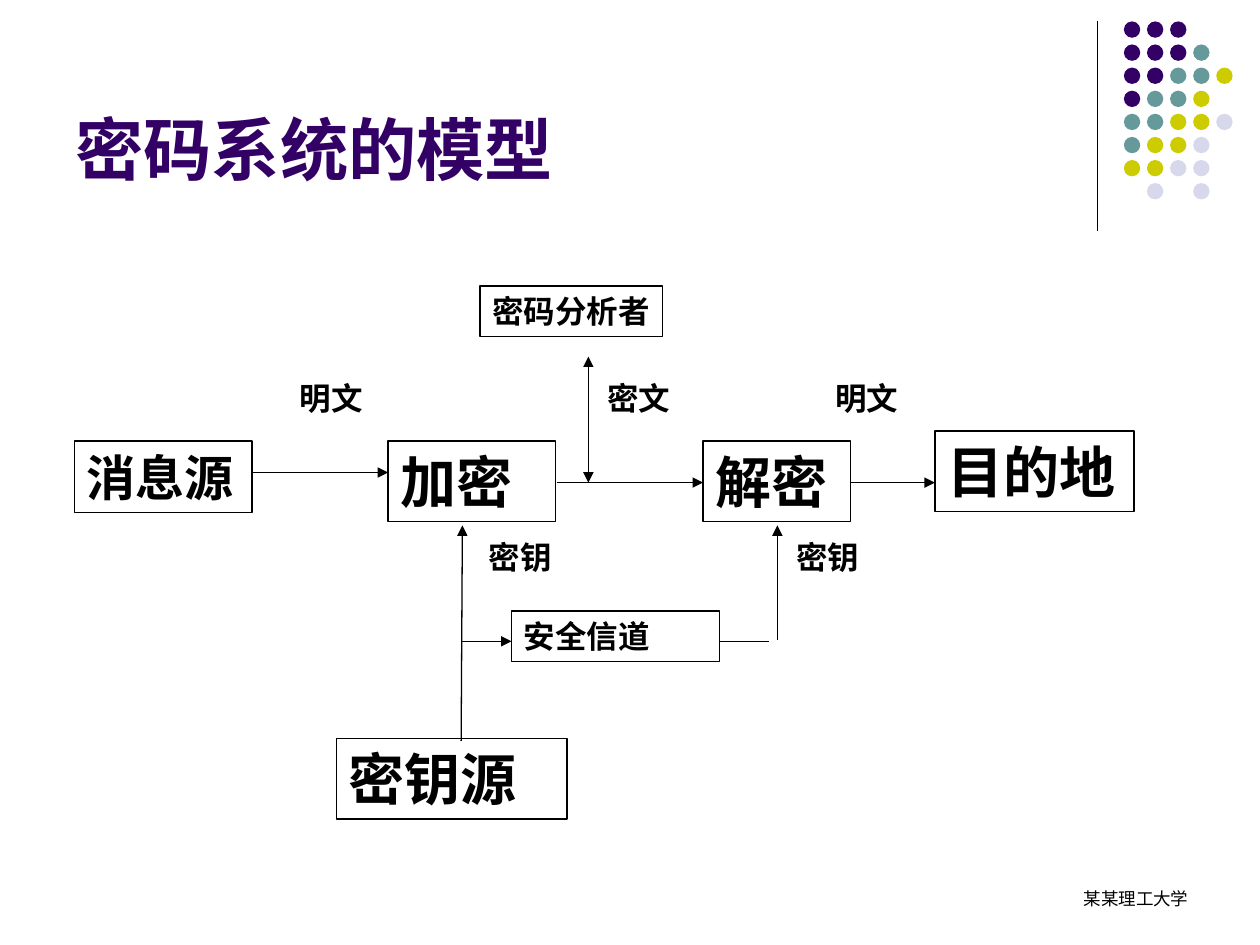
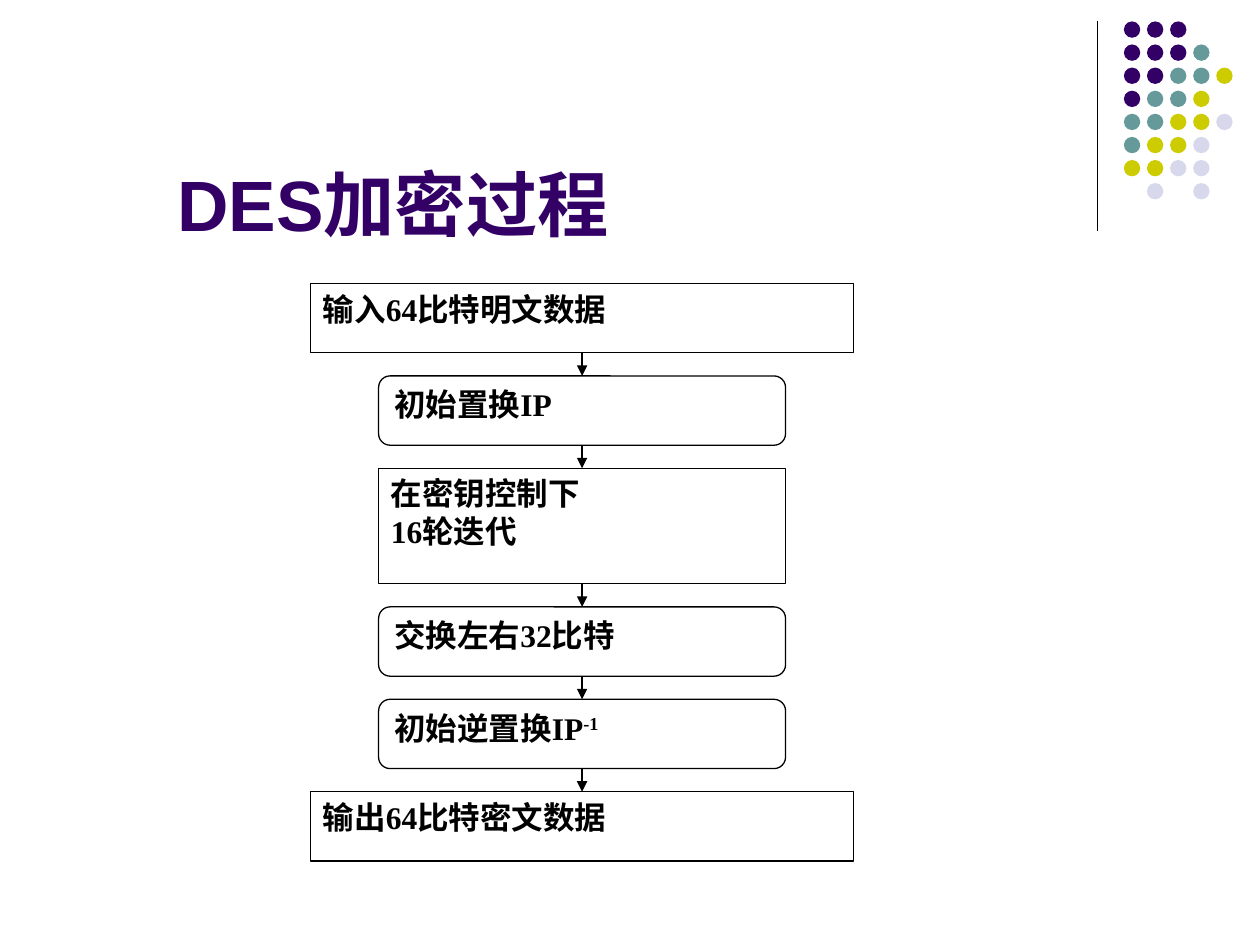
from lxml.etree import SubElement
from pptx import Presentation
from pptx.dml.color import RGBColor
from pptx.enum.shapes import MSO_CONNECTOR, MSO_SHAPE
from pptx.enum.text import MSO_ANCHOR, PP_ALIGN
from pptx.oxml.ns import qn
from pptx.util import Inches, Pt

# Shared style
BLACK, WHITE, PURPLE = "000000", "FFFFFF", "330066"
LINE_WIDTH = 0.74
BODY_SIZE = 18
UNIT = 11 / 60  # step of the dot grid and of the flow chart
DOT_COLOURS = {"P": PURPLE, "T": "669999", "Y": "CCCC00", "L": "D8D8EC"}
DOT_ROWS = ["PPP", "PPPT", "PPTTY", "PTTY", "TTYYL", "TYYL", "YYLL", " L L"]
DOT_LEFT, DOT_TOP, DOT_SIZE = 8.92, 0.17, 0.13

# Slide 1: cipher system model
MODEL_TITLE = "密码系统的模型"
FOOTER = "某某理工大学"
MODEL_BOXES = [  # text, size, left, top, width, height
    ("消息源", 28, 0.59, 3.5, 1.41, 0.57),
    ("加密", 32, 3.08, 3.5, 1.33, 0.64),
    ("解密", 32, 5.58, 3.5, 1.17, 0.64),
    ("目的地", 32, 7.42, 3.42, 1.58, 0.64),
    ("密钥源", 32, 2.67, 5.86, 1.83, 0.64),
    ("安全信道", BODY_SIZE, 4.06, 4.85, 1.65, 0.4),
    ("密码分析者", BODY_SIZE, 3.81, 2.27, 1.45, 0.4),
]
LABEL_ROWS = {  # top: (text, left) of each label
    2.96: [("明文", 2.28), ("密文", 4.72), ("明文", 6.53)],
    4.22: [("密钥", 3.78), ("密钥", 6.22)],
}
MODEL_LINES = [  # start, end, ends with an arrowhead
    ((2, 3.75), (3.08, 3.75), ["tail"]),
    ((4.42, 3.83), (5.58, 3.83), ["tail"]),
    ((6.75, 3.83), (7.42, 3.83), ["tail"]),
    ((3.66, 5.88), (3.67, 4.17), ["tail"]),
    ((6.17, 5.08), (6.17, 4.17), ["tail"]),
    ((3.66, 5.09), (4.06, 5.09), ["tail"]),
    ((4.67, 2.83), (4.67, 3.83), ["head", "tail"]),
    ((5.71, 5.09), (6.1, 5.09), []),
]

# Slide 2: DES encryption steps
DES_TITLE = "DES加密过程"
FLOW_CENTRE, FLOW_TOP = 4.62, 2.25
WIDE, NARROW = 4.31, 3.23
FLOW_STEPS = [  # text, superscript, width, height in units, rounded
    ("输入64比特明文数据", "", WIDE, 3, False),
    ("初始置换IP", "", NARROW, 3, True),
    ("在密钥控制下\n16轮迭代", "", NARROW, 5, False),
    ("交换左右32比特", "", NARROW, 3, True),
    ("初始逆置换IP", "-1", NARROW, 3, True),
    ("输出64比特密文数据", "", WIDE, 3, False),
]


def colour(code):
    return RGBColor.from_string(code)


def style_text(shape, text, size, font="Arial", code=BLACK, bold=True,
               align=PP_ALIGN.LEFT, anchor=MSO_ANCHOR.TOP, wrap=True):
    frame = shape.text_frame
    frame.text = text
    frame.word_wrap = wrap
    frame.vertical_anchor = anchor
    for paragraph in frame.paragraphs:
        paragraph.alignment = align
        for run in paragraph.runs:
            run.font.name = font
            run.font.size = Pt(size)
            run.font.bold = bold
            run.font.color.rgb = colour(code)


def add_text(slide, place, text, size, **style):
    box = slide.shapes.add_textbox(*map(Inches, place))
    style_text(box, text, size, **style)


def add_shape(slide, kind, place, fill, outline=None):
    shape = slide.shapes.add_shape(kind, *map(Inches, place))
    shape.shadow.inherit = False
    shape.fill.solid()
    shape.fill.fore_color.rgb = colour(fill)
    if outline:
        shape.line.color.rgb = colour(outline)
        shape.line.width = Pt(LINE_WIDTH)
    else:
        shape.line.fill.background()
    return shape


def add_line(slide, start, end, arrow_ends=()):
    line = slide.shapes.add_connector(
        MSO_CONNECTOR.STRAIGHT, *map(Inches, (*start, *end)))
    line.line.color.rgb = colour(BLACK)
    line.line.width = Pt(LINE_WIDTH)
    properties = line.line._get_or_add_ln()
    for arrow_end in arrow_ends:
        SubElement(properties, qn(f"a:{arrow_end}End"), type="triangle")
    SubElement(properties.getparent(), qn("a:effectLst"))


def add_base_slide(presentation):
    slide = presentation.slides.add_slide(presentation.slide_layouts[6])
    add_line(slide, (8.71, 0.17), (8.71, 1.83))
    for row, keys in enumerate(DOT_ROWS):
        for column, key in enumerate(keys):
            if key in DOT_COLOURS:
                place = (DOT_LEFT + column * UNIT, DOT_TOP + row * UNIT,
                         DOT_SIZE, DOT_SIZE)
                add_shape(slide, MSO_SHAPE.OVAL, place, DOT_COLOURS[key])
    return slide


def add_title(slide, place, text, size, font):
    add_text(slide, place, text, size, font=font, code=PURPLE,
             anchor=MSO_ANCHOR.BOTTOM)


def build_model(presentation):
    slide = add_base_slide(presentation)
    add_title(slide, (0.5, 0.13, 8.25, 1.42), MODEL_TITLE, 39, "Lato")
    for text, size, *place in MODEL_BOXES:
        box = add_shape(slide, MSO_SHAPE.RECTANGLE, place, WHITE, BLACK)
        style_text(box, text, size, wrap=False)
    for top, labels in LABEL_ROWS.items():
        for text, left in labels:
            add_text(slide, (left, top, 0.7, 0.4), text, BODY_SIZE, wrap=False)
    for start, end, arrow_ends in MODEL_LINES:
        add_line(slide, start, end, arrow_ends)
    add_text(slide, (7.2, 7, 2.33, 0.5), FOOTER, 10, bold=False,
             align=PP_ALIGN.RIGHT)


def build_des(presentation):
    slide = add_base_slide(presentation)
    add_title(slide, (1.31, 0.75, 4, 1.25), DES_TITLE, 40.7, "Arial")
    top = FLOW_TOP
    for index, (text, superscript, width, units, rounded) in enumerate(FLOW_STEPS):
        # Arrow from the step above
        if index:
            add_line(slide, (FLOW_CENTRE, top - UNIT), (FLOW_CENTRE, top), ["tail"])
        kind = MSO_SHAPE.ROUNDED_RECTANGLE if rounded else MSO_SHAPE.RECTANGLE
        place = (FLOW_CENTRE - width / 2, top, width, units * UNIT)
        step = add_shape(slide, kind, place, WHITE, BLACK)
        style_text(step, text, BODY_SIZE, font="Times New Roman")
        if superscript:
            run = step.text_frame.paragraphs[0].add_run()
            run.text = superscript
            run.font.name = "Times New Roman"
            run.font.size = Pt(BODY_SIZE)
            run.font.bold = True
            run.font.color.rgb = colour(BLACK)
            run.font._element.set("baseline", "30000")
        top += (units + 1) * UNIT


presentation = Presentation()
presentation.slide_width, presentation.slide_height = Inches(10), Inches(7.5)
build_model(presentation)
build_des(presentation)
presentation.save("out.pptx")
